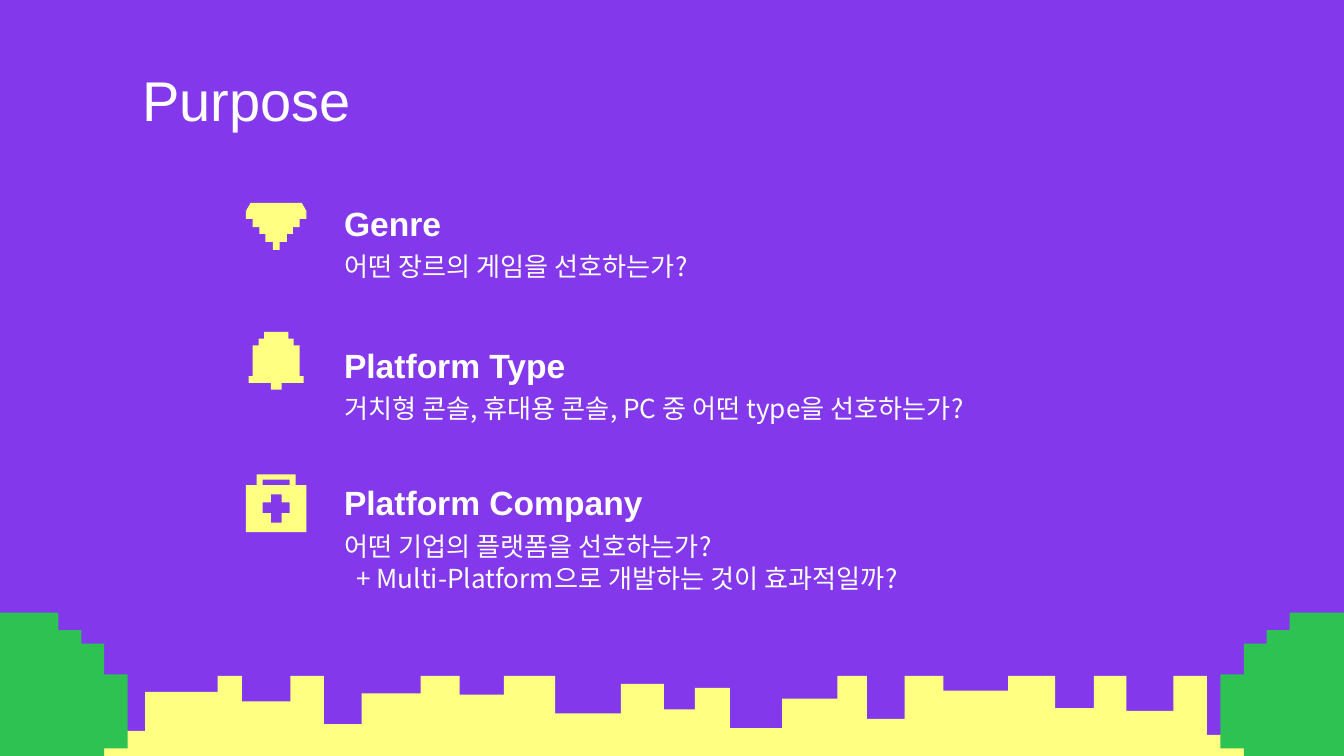
"""Build the "Purpose" slide: three survey topics over a pixel-art landscape."""
from lxml.etree import SubElement
from pptx import Presentation
from pptx.dml.color import RGBColor as RGB
from pptx.enum.text import MSO_ANCHOR as Anchor
from pptx.oxml.ns import qn
from pptx.util import Cm, Pt

COLORS = {"sky": "8338EC", "sand": "FFFF82", "bush": "2DC252", "text": "FFFFFF"}
LATIN, KOREAN = "Arial", "Noto Sans CJK KR"
TITLE = "Purpose"
TOPICS = [
    ("Genre", 1.5, 1.86, 0.58, [("어떤 장르의 게임을 선호하는가?", 0)]),
    ("Platform Type", 2.56, 2.92, 0.58,
     [("거치형 콘솔, 휴대용 콘솔, PC 중 어떤 type을 선호하는가?", 0)]),
    ("Platform Company", 3.58, 3.95, 0.64,
     [("어떤 기업의 플랫폼을 선호하는가?", 0),
      ("+ Multi-Platform으로 개발하는 것이 효과적일까?", 0.09)]),
]
TEXT_LEFT, TEXT_WIDTH = 2.56, 4.89

GROUND_RIGHT, GROUND_BOTTOM = 10.07, 8.33
GROUND_STEPS = [
    (-0.02, 5.2), (0.45, 5.03), (0.83, 5.44), (1.08, 5.15), (1.62, 5.03),
    (1.8, 5.22), (2.16, 5.03), (2.41, 5.39), (2.69, 5.16), (3.13, 5.03),
    (3.42, 5.17), (3.75, 5.03), (4.13, 5.31), (4.62, 5.09), (4.94, 5.28),
    (5.17, 5.12), (5.43, 5.42), (5.82, 5.2), (6.23, 5.03), (6.45, 5.35),
    (6.73, 5.03), (7.02, 5.14), (7.5, 5.03), (7.85, 5.27), (8.14, 5.03),
    (8.38, 5.29), (8.73, 5.03), (8.98, 5.47), (9.29, 5.2), (9.65, 5.03),
    (9.87, 5.3), (10, 5.03),
]
BUSH_CENTERS = (9.92, 0.11)
BUSH_ROWS = [(4.56, 0.65), (4.69, 0.99), (4.79, 1.33), (5.02, 1.68),
             (5.57, 1.33), (5.91, 0.99)]
BUSH_BOTTOM = 6.03
ICON_CENTER = 1.83 + 0.45 / 2
GEM_TOP = [(1.51, 0.41 - 0.03)]
GEM_ROWS = [(1.57, 0.45), (1.63, 0.35), (1.69, 0.25), (1.74, 0.16), (1.8, 0.05)]
BELL_ROWS = [(2.47, 0.18), (2.52, 0.26), (2.57, 0.35), (2.8, 0.41), (2.85, 0.08)]
KIT_CASE = [(3.53, 0.29), (3.61, 0.45)]
KIT_SLOT = [(3.57, 0.2)]
KIT_CROSS = [(3.68, 0.08), (3.74, 0.2), (3.82, 0.08)]


def inch(value):
    return Cm(value * 2.54)


def stepped(rows, bottom):
    ends = [y for y, _ in rows[1:]] + [bottom]
    return [edge for (y, w), end in zip(rows, ends) for edge in ((y, w), (end, w))]


def mirrored(center, profile):
    right = [(center + w / 2, y) for y, w in profile]
    left = [(center - w / 2, y) for y, w in reversed(profile)]
    return right + left


def skyline(steps, right, bottom):
    ends = [x for x, _ in steps[1:]] + [right]
    top = [pt for (x, y), end in zip(steps, ends) for pt in ((x, y), (end, y))]
    return top + [(right, bottom), (steps[0][0], bottom)]


def add_outline(s, color, *contours):
    contours = [[(inch(x), inch(y)) for x, y in c] for c in contours]
    builder = s.shapes.build_freeform(*contours[0][0])
    builder.add_line_segments(contours[0][1:], close=True)
    for contour in contours[1:]:
        builder.move_to(*contour[0])
        builder.add_line_segments(contour[1:], close=True)
    sp = builder.convert_to_shape()
    sp.shadow.inherit = False
    sp.fill.solid()
    sp.fill.fore_color.rgb = RGB.from_string(COLORS[color])
    sp.line.fill.background()


def add_text(s, box, lines, size, font, bold=False, anchor=Anchor.TOP):
    tf = s.shapes.add_textbox(*map(inch, box)).text_frame
    tf.word_wrap = True
    tf.vertical_anchor = anchor
    tf.margin_left = tf.margin_right = tf.margin_top = tf.margin_bottom = 0
    for i, (text, indent) in enumerate(lines):
        p = tf.add_paragraph() if i else tf.paragraphs[0]
        if indent:
            p._p.get_or_add_pPr().set("marL", str(inch(indent)))
        r = p.add_run()
        r.text = text
        r.font.size, r.font.bold, r.font.name = Pt(size), bold, font
        r.font.color.rgb = RGB.from_string(COLORS["text"])
        SubElement(r._r.get_or_add_rPr(), qn("a:ea")).set("typeface", font)


def main():
    prs = Presentation()
    prs.slide_width, prs.slide_height = Cm(25.4), Cm(14.29)
    s = prs.slides.add_slide(prs.slide_layouts[6])
    s.background.fill.solid()
    s.background.fill.fore_color.rgb = RGB.from_string(COLORS["sky"])

    add_outline(s, "sand", skyline(GROUND_STEPS, GROUND_RIGHT, GROUND_BOTTOM))
    for center in BUSH_CENTERS:
        add_outline(s, "bush", mirrored(center, stepped(BUSH_ROWS, BUSH_BOTTOM)))

    add_text(s, (1.06, 0.49, 7.89, 0.58), [(TITLE, 0)], 30, LATIN)
    for name, name_top, body_top, body_height, body in TOPICS:
        add_text(s, (TEXT_LEFT, name_top, TEXT_WIDTH, 0.31), [(name, 0)],
                 18, LATIN, bold=True, anchor=Anchor.BOTTOM)
        add_text(s, (TEXT_LEFT, body_top, TEXT_WIDTH, body_height), body, 14, KOREAN)

    icons = [
        [GEM_TOP + stepped(GEM_ROWS, 1.86)],
        [stepped(BELL_ROWS, 2.9)],
        [stepped(KIT_CASE, 3.96), stepped(KIT_SLOT, 3.61), stepped(KIT_CROSS, 3.89)],
    ]
    for profiles in icons:
        add_outline(s, "sand", *[mirrored(ICON_CENTER, pr) for pr in profiles])
    prs.save("out.pptx")


if __name__ == "__main__":
    main()
